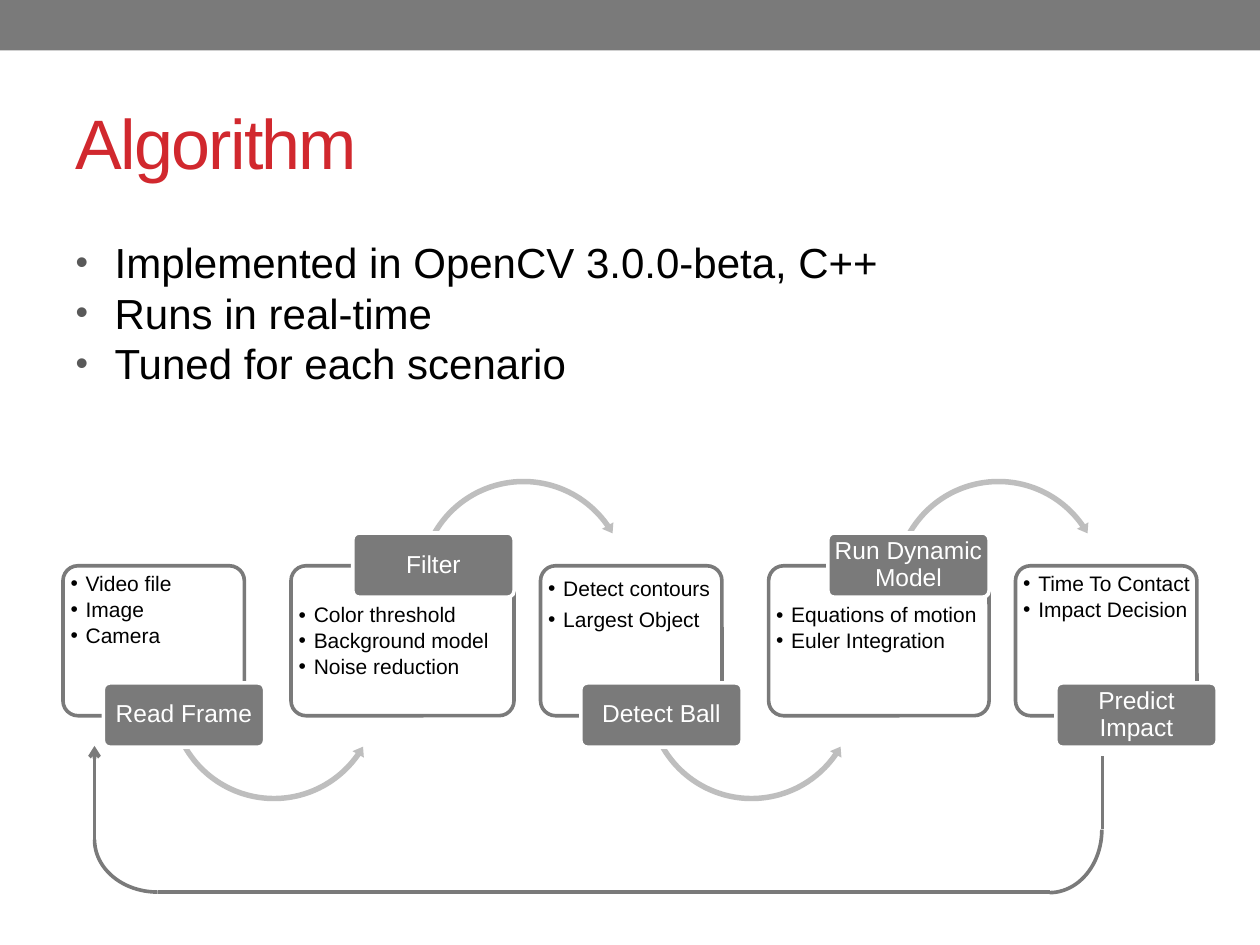
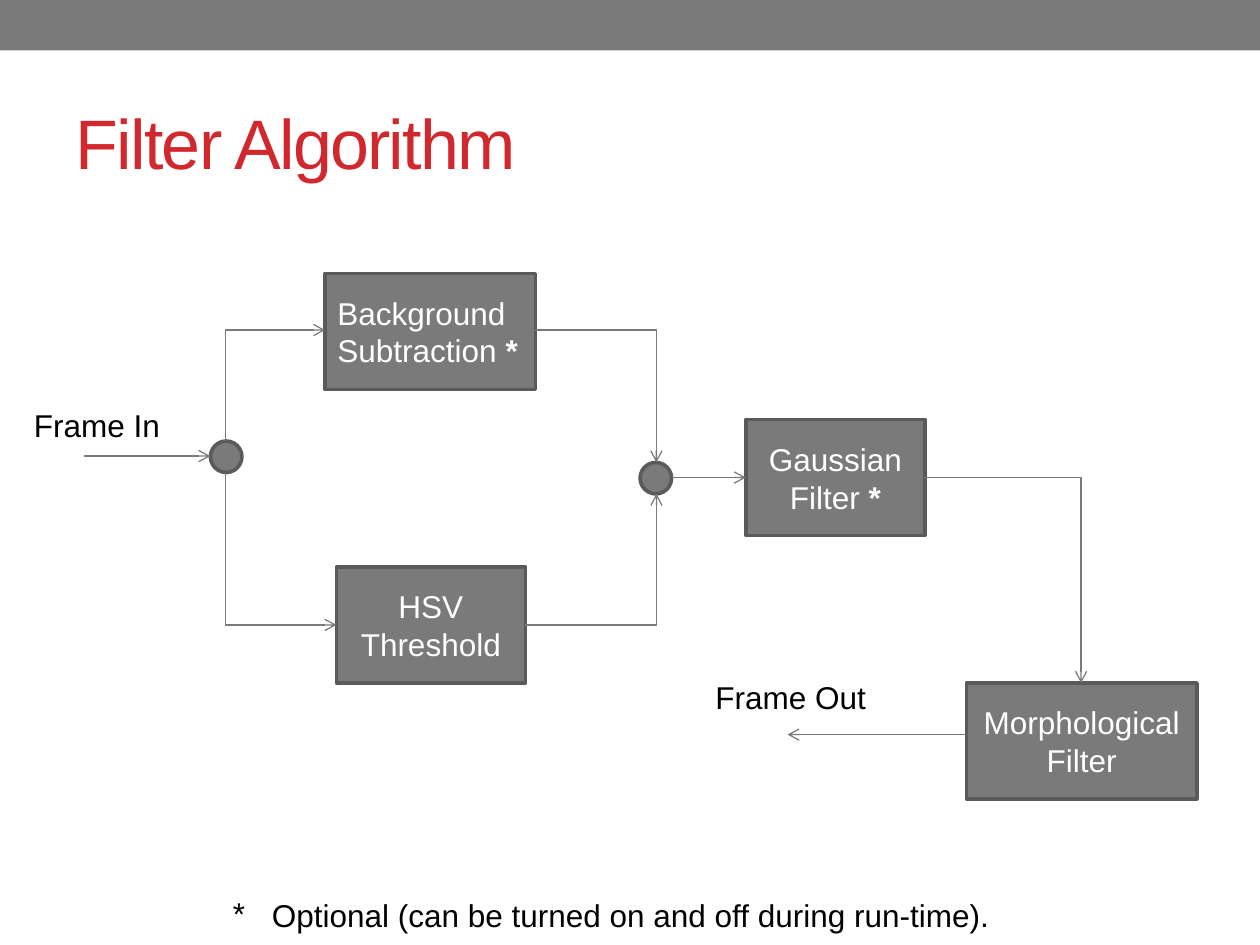
"""Builds two slides that explain a ball tracking algorithm and its filter stage."""
from lxml.etree import SubElement
from pptx import Presentation
from pptx.dml.color import RGBColor
from pptx.enum.shapes import MSO_CONNECTOR as Link, MSO_SHAPE as Shape
from pptx.enum.text import MSO_ANCHOR as Anchor, MSO_AUTO_SIZE as AutoSize, PP_ALIGN as Align
from pptx.oxml.ns import qn
from pptx.util import Inches, Pt

FONT = "Arial"
COLORS = {
    "grey": "7A7A7A",
    "edge": "5A5A5A",
    "bullet": "595959",
    "arc": "BEBEBE",
    "red": "D1282E",
    "white": "FFFFFF",
    "black": "000000",
}
HEAVY, THIN = 2.08, 0.75

CARD_TOP, CARD_HEIGHT = 4.49, 1.19
LABEL_WIDTH, LABEL_HEIGHT = 1.28, 0.51
ARC_SIZE = 1.73
STEPS = [
    ("Read Frame", 0.5, 1.44, 0.9, ["Video file", "Image", "Camera"]),
    ("Filter", 2.31, 1.77, 0.9, ["Color threshold", "Background model", "Noise reduction"]),
    ("Detect Ball", 4.29, 1.44, 1.1, ["Detect contours", "Largest Object"]),
    ("Run Dynamic Model", 6.1, 1.75, 0.9, ["Equations of motion", "Euler Integration"]),
    ("Predict Impact", 8.06, 1.44, 0.9, ["Time To Contact", "Impact Decision"]),
]
BLOCKS = [
    (["Background ", "Subtraction *"], 2.58, 2.17, 1.67, Align.LEFT),
    (["HSV", "Threshold"], 2.67, 4.5, 1.5, Align.CENTER),
    (["Gaussian Filter *"], 5.92, 3.33, 1.42, Align.CENTER),
    (["Morphological", "Filter"], 7.67, 5.42, 1.83, Align.CENTER),
]


def color(name):
    return RGBColor.from_string(COLORS[name])


def inches(*values):
    return [Inches(value) for value in values]


def set_line(line, name, width):
    line.color.rgb = color(name)
    line.width = Pt(width)


def add_shape(page, kind, at, fill=None, line=None, width=HEAVY):
    shape = page.shapes.add_shape(kind, *inches(*at))
    shape.shadow.inherit = False
    if fill:
        shape.fill.solid()
        shape.fill.fore_color.rgb = color(fill)
    else:
        shape.fill.background()
    if line:
        set_line(shape.line, line, width)
    else:
        shape.line.fill.background()
    return shape


def set_bullet(para, char, indent, size=100, tint="black"):
    props = para._p.get_or_add_pPr()
    props.set("marL", str(Inches(indent)))
    props.set("indent", str(-Inches(indent)))
    SubElement(SubElement(props, qn("a:buClr")), qn("a:srgbClr"), val=COLORS[tint])
    SubElement(props, qn("a:buSzPct"), val=str(size * 1000))
    SubElement(props, qn("a:buFont"), typeface=FONT)
    SubElement(props, qn("a:buChar"), char=char)


def write(box, lines, size, tint="black", align=Align.LEFT, spacing=None, after=0, bullet=None):
    frame = box.text_frame
    for number, line in enumerate(lines):
        para = frame.add_paragraph() if number else frame.paragraphs[0]
        words, star, _ = line.partition("*")
        para.add_run().text = words
        if star:
            span = para.add_run()
            span.text = star
            span.font.bold = True
        if bullet:
            set_bullet(para, *bullet)
        para.alignment = align
        para.space_before = Pt(0)
        para.space_after = Pt(after)
        if spacing:
            para.line_spacing = spacing
        para.font.name = FONT
        para.font.size = Pt(size)
        para.font.color.rgb = color(tint)


def set_margins(box, margin):
    frame = box.text_frame
    frame.margin_left = frame.margin_right = Inches(margin)
    frame.margin_top = frame.margin_bottom = Inches(margin)


def place(box, at):
    box.left, box.top, box.width, box.height = inches(*at)


def add_text(page, at, lines, size, wrap=True, margin=None, **style):
    box = page.shapes.add_textbox(*inches(*at))
    box.text_frame.word_wrap = wrap
    if margin is not None:
        set_margins(box, margin)
    write(box, lines, size, **style)
    return box


def add_line(page, start, end, width=THIN, arrow=True, kind=Link.STRAIGHT):
    link = page.shapes.add_connector(kind, *inches(*start, *end))
    set_line(link.line, "grey", width)
    if arrow:
        SubElement(link.line._get_or_add_ln(), qn("a:tailEnd"), type="arrow")
    SubElement(link._element.spPr, qn("a:effectLst"))
    return link


def add_elbow(page, start, end, vertical_first=False):
    turn = 0
    if vertical_first:
        (x1, y1), (x2, y2) = start, end
        middle_x, middle_y = (x1 + x2) / 2, (y1 + y2) / 2
        half_width, half_height = abs(y2 - y1) / 2, (x2 - x1) / 2
        upward = y2 < y1
        turn = 90 if upward else 270
        rise = half_height if upward else -half_height
        start = (middle_x + half_width, middle_y + rise)
        end = (middle_x - half_width, middle_y - rise)
    link = add_line(page, start, end, kind=Link.ELBOW)
    props = link._element.spPr
    props.find(qn("a:prstGeom")).set("prst", "bentConnector2")
    if turn:
        props.find(qn("a:xfrm")).set("rot", str(turn * 60000))


def add_page(deck, layout, title):
    page = deck.slides.add_slide(deck.slide_layouts[layout])
    box = page.shapes.title
    place(box, (0.5, 0.58, 9, 1.08))
    box.text_frame.vertical_anchor = Anchor.MIDDLE
    write(box, [title], 40, "red")
    box.text_frame.paragraphs[0].runs[0]._r.get_or_add_rPr().set("spc", "-100")
    return page


def add_band(deck, page):
    band = add_shape(page, Shape.RECTANGLE, (0, 0, 10, 0.4), "grey")
    deck.slide_master.shapes.element.insert(2, band.element)


def add_step(page, number, label, left, width, spacing, items):
    raised = number % 2 == 1
    card = add_shape(page, Shape.ROUNDED_RECTANGLE, (left, CARD_TOP, width, CARD_HEIGHT), "white", "grey")
    card.adjustments[0] = 0.1
    tint = card._element.spPr.find(qn("a:solidFill"))[0]
    SubElement(tint, qn("a:alpha"), val="90000")
    add_text(page, (left + 0.03, 4.77 if raised else 4.52, width - 0.05, 0.88), items, 12,
             margin=0.03, spacing=spacing, after=1.8, bullet=("•", 0.12))

    label_left = left + width - LABEL_WIDTH + (0 if raised else 0.16)
    if number < len(STEPS) - 1:
        kind = Shape.CIRCULAR_ARROW if raised else Shape.LEFT_CIRCULAR_ARROW
        angles = (195.17, 125.76) if raised else (20.83, 90.25)
        at = (label_left + 0.49, 3.77 if raised else 4.66, ARC_SIZE, ARC_SIZE)
        arc = add_shape(page, kind, at, "arc")
        for index, value in enumerate((0.025, 3.07, *angles, 0.03)):
            arc.adjustments[index] = value

    at = (label_left, 4.23 if raised else 5.42, LABEL_WIDTH, LABEL_HEIGHT)
    box = add_shape(page, Shape.ROUNDED_RECTANGLE, at, "grey", "white")
    box.adjustments[0] = 0.1
    set_margins(box, 0.02)
    write(box, [label], 14, "white", Align.CENTER, spacing=0.9)


def add_return_loop(page):
    add_line(page, (0.75, 6.67), (0.75, 5.92), HEAVY)
    add_line(page, (8.75, 6), (8.75, 6.58), HEAVY, arrow=False)
    for left, top, turn in ((0.75, 6.25, 180), (7.83, 6.17, 90)):
        corner = add_shape(page, Shape.ARC, (left, top, 1, 0.83), line="grey")
        corner.rotation = turn
    add_line(page, (8.33, 7.08), (1.25, 7.08), HEAVY, arrow=False)


def build_algorithm(page):
    for number, step in enumerate(STEPS):
        add_step(page, number, *step)
    add_return_loop(page)
    body = page.placeholders[1]
    place(body, (0.5, 1.83, 8.83, 1.31))
    body.text_frame.auto_size = AutoSize.SHAPE_TO_FIT_TEXT
    points = ["Implemented in OpenCV 3.0.0-beta, C++", "Runs in real-time", "Tuned for each scenario"]
    write(body, points, 24, bullet=("•", 0.31, 85, "bullet"))


def build_filter(page):
    for lines, left, top, width, align in BLOCKS:
        box = add_shape(page, Shape.FLOWCHART_PROCESS, (left, top, width, 0.92), "grey", "edge")
        box.text_frame.vertical_anchor = Anchor.MIDDLE
        write(box, lines, 18, "white", align)
    for left, top in ((1.67, 3.5), (5.08, 3.67)):
        add_shape(page, Shape.FLOWCHART_CONNECTOR, (left, top, 0.25, 0.25), "grey", "edge")

    add_elbow(page, (1.79, 3.5), (2.58, 2.62), vertical_first=True)
    add_elbow(page, (1.79, 3.75), (2.67, 4.96), vertical_first=True)
    add_elbow(page, (4.25, 2.62), (5.21, 3.67))
    add_elbow(page, (4.17, 4.96), (5.21, 3.92))
    add_elbow(page, (7.33, 3.79), (8.58, 5.42))
    add_line(page, (0.67, 3.62), (1.67, 3.62))
    add_line(page, (5.33, 3.79), (5.92, 3.79))
    add_line(page, (7.67, 5.83), (6.25, 5.83))

    add_text(page, (0.17, 3.17, 1.25, 0.4), ["Frame In"], 18)
    add_text(page, (5.58, 5.33, 1.42, 0.4), ["Frame Out"], 18)
    add_text(page, (1.75, 7.06, 6.25, 0.4), ["Optional (can be turned on and off during run-time)."], 18,
             wrap=False, bullet=("*", 0.31))


def main():
    deck = Presentation()
    deck.slide_width, deck.slide_height = inches(10, 7.5)
    algorithm = add_page(deck, 1, "Algorithm")
    add_band(deck, algorithm)
    build_algorithm(algorithm)
    build_filter(add_page(deck, 5, "Filter Algorithm"))
    deck.save("out.pptx")


main()
